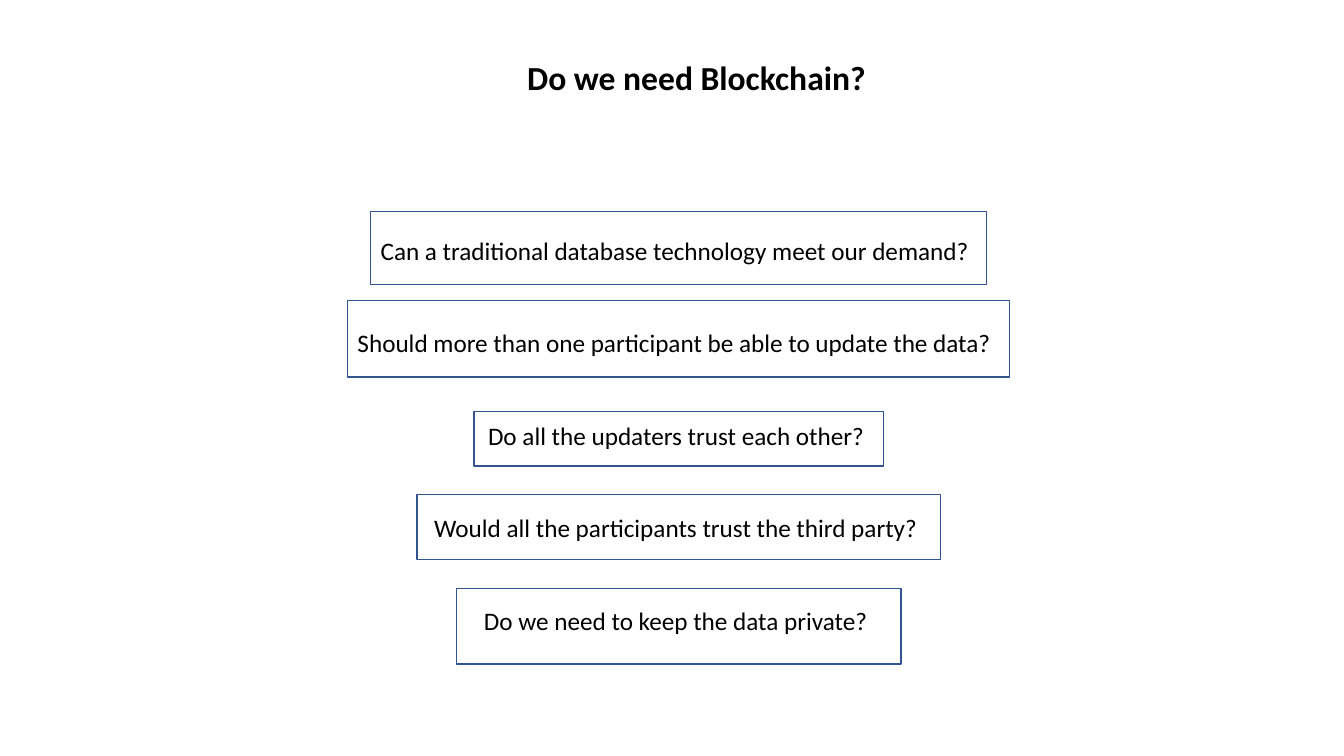
"""Build a slide of five questions for deciding whether a blockchain is needed."""
from dataclasses import dataclass

from pptx import Presentation
from pptx import util as u
from pptx.dml.color import RGBColor
from pptx.enum import shapes, text

TITLE = "Do we need Blockchain?"
TITLE_AREA = (369.4, 37.4, 258.5, 36)

# question, text width, frame top, frame width, frame height
QUESTIONS = [
    ("Can a traditional database technology meet our demand?", 440, 151.2, 440, 52),
    ("Should more than one participant be able to update the data?", 473, 214.6, 473, 54.6),
    ("Do all the updaters trust each other?", 286.6, 293.8, 292.4, 39),
    ("Would all the participants trust the third party?", 363.6, 353.4, 373.8, 46.2),
    ("Do we need to keep the data private?", 292.4, 420.4, 317.6, 54),
]
CENTER_X = 484.8
FIRST_QUESTION_TOP, QUESTION_PITCH, QUESTION_HEIGHT = 164.2, 66.1, 29


@dataclass(frozen=True)
class Theme:
    font: str = "Calibri"
    ink: RGBColor = RGBColor(0, 0, 0)
    frame: RGBColor = RGBColor(0x32, 0x54, 0x91)
    title_size: int = 24
    question_size: int = 18
    frame_width: int = 1


THEME = Theme()


def points(area):
    return [u.Pt(length) for length in area]


def add_label(slide, wording, area, size, bold=False):
    label = slide.shapes.add_textbox(*points(area))
    label.text_frame.word_wrap = False
    label.text_frame.auto_size = text.MSO_AUTO_SIZE.SHAPE_TO_FIT_TEXT
    run = label.text_frame.paragraphs[0].add_run()
    run.text = wording
    run.font.name = THEME.font
    run.font.size = u.Pt(size)
    run.font.bold = bold
    run.font.color.rgb = THEME.ink


def add_frame(slide, area):
    frame = slide.shapes.add_shape(shapes.MSO_SHAPE.FLOWCHART_PROCESS, *points(area))
    frame.shadow.inherit = False
    frame.fill.background()
    frame.line.color.rgb = THEME.frame
    frame.line.width = u.Pt(THEME.frame_width)


def main():
    deck = Presentation()
    deck.slide_width, deck.slide_height = u.Pt(960), u.Pt(540)
    slide = deck.slides.add_slide(deck.slide_layouts[6])

    add_label(slide, TITLE, TITLE_AREA, THEME.title_size, bold=True)
    for row, (question, width, frame_top, frame_width, frame_height) in enumerate(QUESTIONS):
        question_top = FIRST_QUESTION_TOP + row * QUESTION_PITCH
        add_label(slide, question, (CENTER_X - width / 2, question_top, width, QUESTION_HEIGHT),
                  THEME.question_size)
        add_frame(slide, (CENTER_X - frame_width / 2, frame_top, frame_width, frame_height))

    deck.save("out.pptx")


if __name__ == "__main__":
    main()
